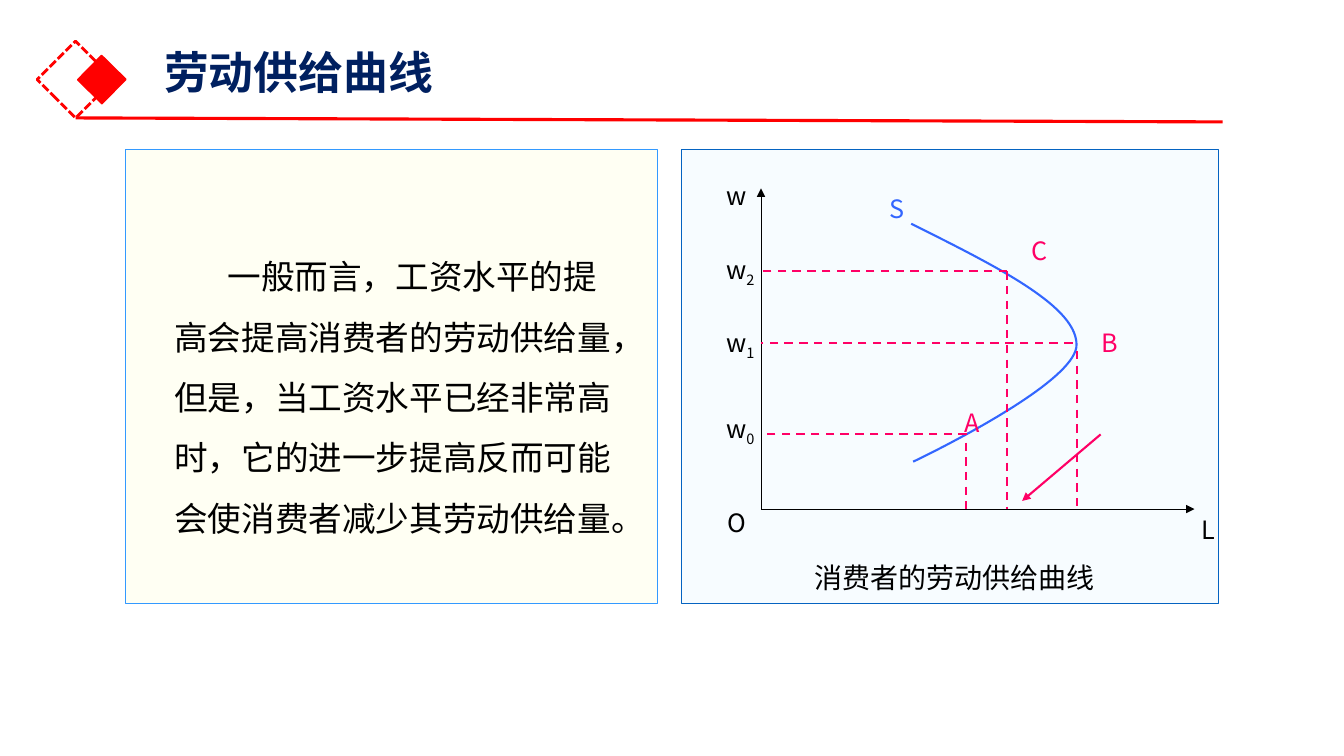
from dataclasses import dataclass

import lxml.etree
import pptx
import pptx.dml.color
import pptx.enum.dml
import pptx.enum.shapes
import pptx.enum.text
import pptx.oxml.ns
import pptx.util

Pt = pptx.util.Pt
DASH = pptx.enum.dml.MSO_LINE
ANCHOR = pptx.enum.text.MSO_ANCHOR
qn = pptx.oxml.ns.qn


@dataclass(frozen=True)
class Theme:
    font: str = "Noto Sans CJK SC"
    black: str = "000000"
    navy: str = "002060"
    red: str = "FF0000"
    pink: str = "FF0066"
    curve: str = "3366FF"
    cream: str = "FFFFF3"
    cream_edge: str = "3399FF"
    ice: str = "F7FCFF"
    ice_edge: str = "0563C1"
    title: int = 32
    body: int = 24
    caption: int = 20
    label: int = 18


def rgb(color):
    return pptx.dml.color.RGBColor.from_string(color)


def write(paragraph, text, *, theme, size, color, bold=False, baseline=None):
    run = paragraph.add_run()
    run.text = text
    run.font.name = theme.font
    run.font.size = Pt(size)
    run.font.bold = bold
    run.font.color.rgb = rgb(color)
    properties = run._r.get_or_add_rPr()
    lxml.etree.SubElement(properties, qn("a:ea"), typeface=theme.font)
    if baseline is not None:
        properties.set("baseline", str(baseline))


class SlidePainter:
    def __init__(self, slide, theme):
        self.slide = slide
        self.theme = theme

    def stroke(self, line, color, width, dash=None):
        line.color.rgb = rgb(color)
        line.width = Pt(width)
        if dash is not None:
            line.dash_style = dash

    def rectangle(self, left, top, width, height, *, edge, edge_width,
                  fill=None, dash=None, rotation=0):
        shape = self.slide.shapes.add_shape(
            pptx.enum.shapes.MSO_SHAPE.RECTANGLE,
            Pt(left), Pt(top), Pt(width), Pt(height))
        shape.shadow.inherit = False
        shape.rotation = rotation
        if fill is None:
            shape.fill.background()
        else:
            shape.fill.solid()
            shape.fill.fore_color.rgb = rgb(fill)
        self.stroke(shape.line, edge, edge_width, dash)

    def line(self, start, end, *, color, width, dash=None, arrow=False):
        connector = self.slide.shapes.add_connector(
            pptx.enum.shapes.MSO_CONNECTOR.STRAIGHT,
            *(Pt(value) for value in (*start, *end)))
        self.stroke(connector.line, color, width, dash)
        if arrow:
            lxml.etree.SubElement(
                connector.line._get_or_add_ln(), qn("a:tailEnd"), type="triangle")
        lxml.etree.SubElement(connector._element.spPr, qn("a:effectLst"))

    def bezier(self, segments, *, color, width, steps=40):
        points = []
        for a, b, c, d in segments:
            for step in range(steps + 1):
                t = step / steps
                u = 1 - t
                points.append(tuple(
                    Pt(u**3 * p + 3 * u * u * t * q + 3 * u * t * t * r + t**3 * s)
                    for p, q, r, s in zip(a, b, c, d)))
        builder = self.slide.shapes.build_freeform(*points[0], scale=1.0)
        builder.add_line_segments(points[1:], close=False)
        shape = builder.convert_to_shape()
        shape.shadow.inherit = False
        shape.fill.background()
        self.stroke(shape.line, color, width)

    def text(self, left, top, width, height, text, *, size, color, bold=False,
             subscript="", wrap=False, spacing=None, indent=0, anchor=ANCHOR.TOP):
        box = self.slide.shapes.add_textbox(Pt(left), Pt(top), Pt(width), Pt(height))
        frame = box.text_frame
        frame.word_wrap = wrap
        frame.auto_size = pptx.enum.text.MSO_AUTO_SIZE.SHAPE_TO_FIT_TEXT
        frame.vertical_anchor = anchor
        paragraph = frame.paragraphs[0]
        if spacing:
            paragraph.line_spacing = spacing
        if indent:
            paragraph._p.get_or_add_pPr().set("indent", str(Pt(indent)))
        write(paragraph, text, theme=self.theme, size=size, color=color, bold=bold)
        if subscript:
            write(paragraph, subscript, theme=self.theme, size=size, color=color,
                  baseline=-25000)


def draw_header(painter):
    theme = painter.theme
    painter.rectangle(34.56, 37.44, 38.9, 38.9, edge=theme.red, edge_width=2,
                      dash=DASH.SQUARE_DOT, rotation=45)
    painter.rectangle(60.5, 44.6, 24.5, 24.5, edge=theme.red, edge_width=1,
                      fill=theme.red, rotation=314.5)
    painter.line((54, 84.24), (873.4, 87.1), color=theme.red, width=2.25)
    painter.text(110.2, 32.5, 828, 42, "劳动供给曲线", size=theme.title,
                 color=theme.navy, bold=True, wrap=True, spacing=0.9,
                 anchor=ANCHOR.MIDDLE)


def draw_explanation(painter):
    theme = painter.theme
    painter.text(
        117.4, 164.9, 329.8, 225.4,
        "一般而言，工资水平的提高会提高消费者的劳动供给量，"
        "但是，当工资水平已经非常高时，"
        "它的进一步提高反而可能会使消费者减少其劳动供给量。",
        size=theme.body, color=theme.black, wrap=True, spacing=1.5, indent=38)


def draw_supply_curve(painter):
    theme = painter.theme
    origin_x, origin_y = 543.6, 363.6
    origin = (origin_x, origin_y)
    for axis_end in ((853.2, origin_y), (origin_x, 134.6)):
        painter.line(origin, axis_end, color=theme.black, width=0.5, arrow=True)

    turning_point = (769, 246.2)
    painter.bezier(
        [((650.9, 159.8), (709.9, 189.4), (769, 218.2), turning_point),
         (turning_point, (769.7, 274.3), (652.3, 329.8), (652.3, 329.8))],
        color=theme.curve, width=1.5)

    guides = [
        (719.3, 193.7, 719.3, 193.7),
        (769, 250.6, 766.1, 244.8),
        (689.8, 316.1, 690.5, 310.3),
    ]
    for hours, drop_top, wage_end, wage in guides:
        for start, end in (((hours, drop_top), (hours, origin_y)),
                           ((wage_end, wage), (origin_x, wage))):
            painter.line(start, end, color=theme.pink, width=1.5, dash=DASH.DASH)
    painter.line((786.2, 310.3), (730.1, 357.8), color=theme.pink, width=1.5,
                 arrow=True)

    for left, top, width, name, color in (
            (628.6, 134.6, 23, "S", theme.curve),
            (779.8, 230.4, 24.5, "B", theme.pink),
            (681.8, 287.3, 25.2, "A", theme.pink),
            (730.1, 164.9, 24.5, "C", theme.pink),
            (512.6, 358.6, 26.6, "O", theme.black),
            (851, 363.6, 22.3, "L", theme.black)):
        painter.text(left, top, width, 28.8, name, size=theme.label, color=color)

    for top, level in ((125.3, ""), (177.8, "2"), (230.4, "1"), (291.6, "0")):
        painter.text(511.6, top, 41, 28.8, "w", subscript=level,
                     size=theme.label, color=theme.black, wrap=True)
    painter.text(574.6, 396.7, 216.7, 31.7, "消费者的劳动供给曲线",
                 size=theme.caption, color=theme.black)


def main():
    presentation = pptx.Presentation()
    presentation.slide_width = Pt(960)
    presentation.slide_height = Pt(540)
    theme = Theme()
    painter = SlidePainter(
        presentation.slides.add_slide(presentation.slide_layouts[6]), theme)
    for left, width, fill, edge in ((90, 379.4, theme.cream, theme.cream_edge),
                                    (486.7, 383.8, theme.ice, theme.ice_edge)):
        painter.rectangle(left, 106.6, width, 324.7, fill=fill, edge=edge,
                          edge_width=0.75)
    draw_header(painter)
    draw_explanation(painter)
    draw_supply_curve(painter)
    presentation.save("out.pptx")


if __name__ == "__main__":
    main()
